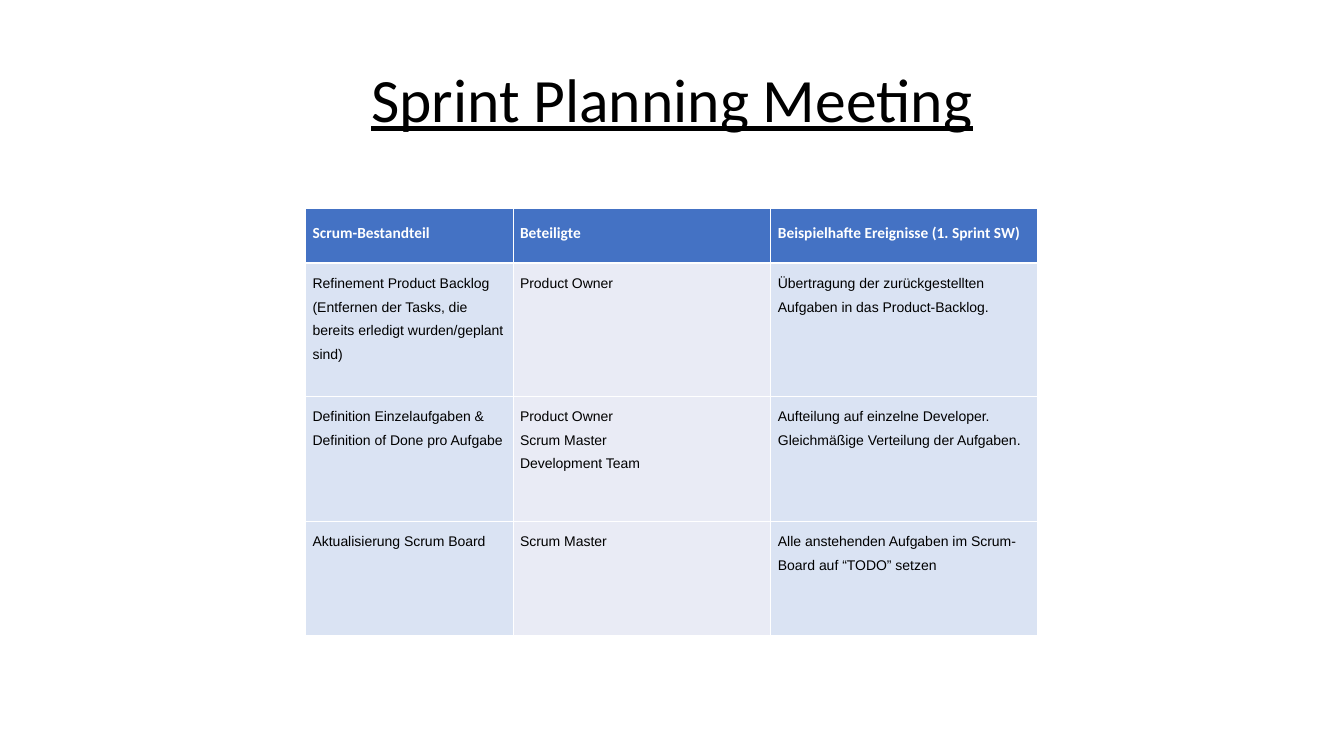
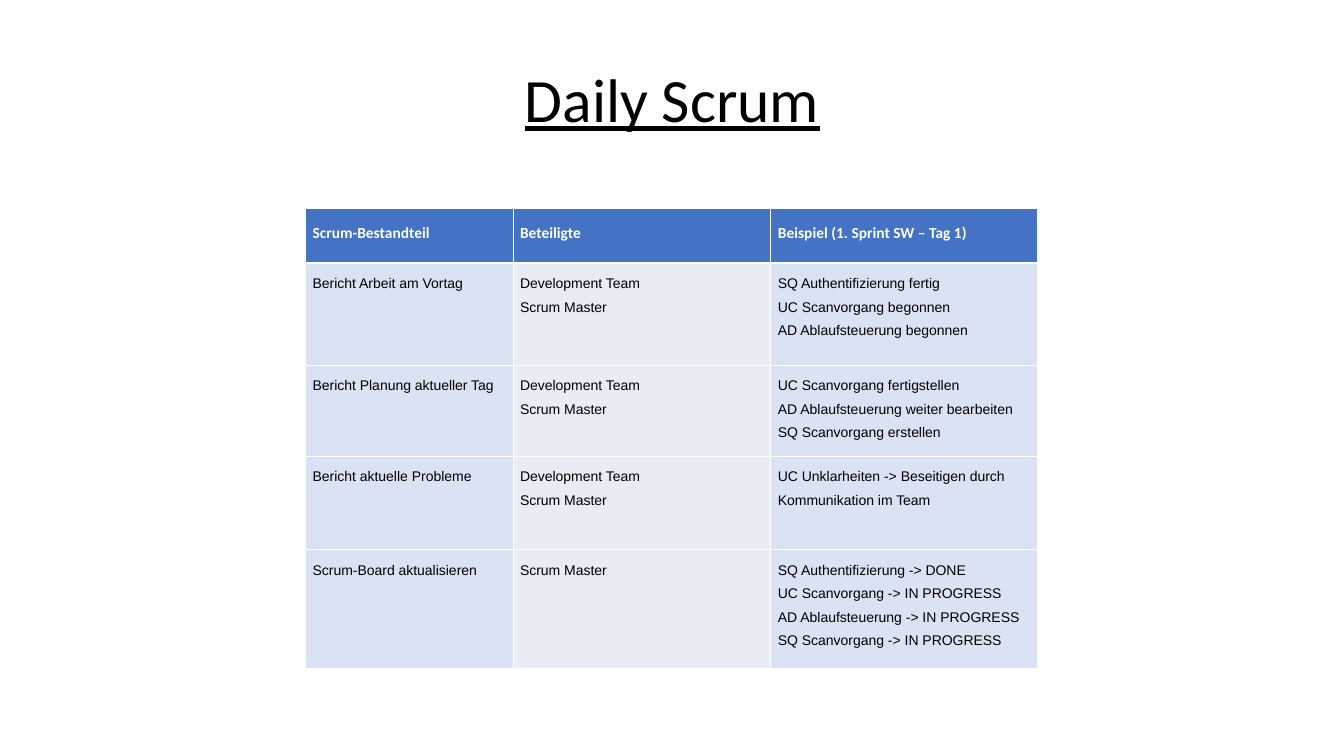
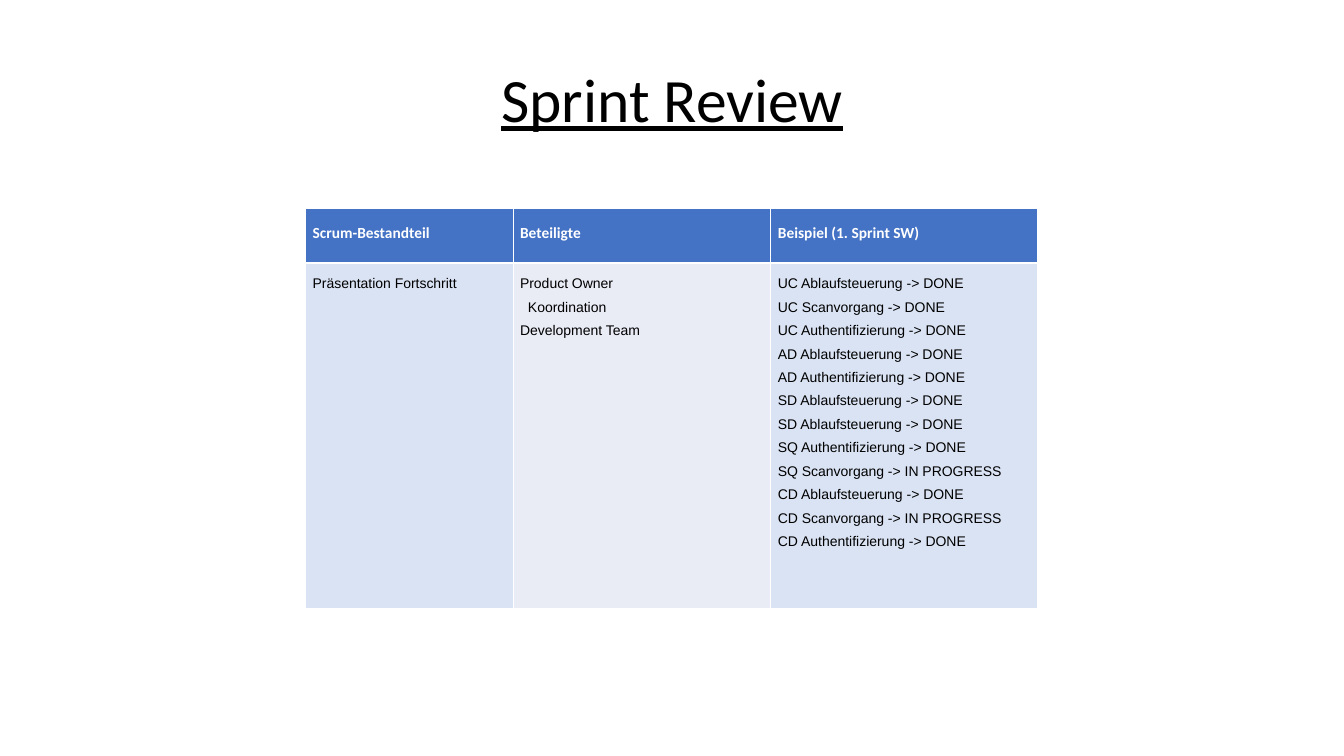
from dataclasses import dataclass
from typing import NamedTuple

from lxml import etree
from pptx import Presentation
from pptx.dml.color import RGBColor
from pptx.enum.text import MSO_ANCHOR, PP_ALIGN
from pptx.oxml.ns import qn
from pptx.util import Cm, Pt

MIDDLE = MSO_ANCHOR.MIDDLE
CENTER = PP_ALIGN.CENTER


class TextStyle(NamedTuple):
    font: str
    size: float
    color: str
    line_spacing: float
    bold: bool = False
    underline: bool = False


@dataclass(frozen=True)
class Theme:
    title: TextStyle = TextStyle("Calibri", 44, "000000", 0.9, underline=True)
    header: TextStyle = TextStyle("Calibri", 11, "FFFFFF", 1.5, bold=True)
    body: TextStyle = TextStyle("Arial", 10, "000000", 1.5)
    header_fill: str = "4472C4"
    column_fills: tuple[str, ...] = ("DAE3F3", "E9EBF5", "DAE3F3")
    border: str = "FFFFFF"
    thin_border: float = 0.45
    thick_border: float = 1.47


class Line(NamedTuple):
    text: str
    indent: float = 0


class Row(NamedTuple):
    """Each cell is a list of lines; the height is in centimetres."""
    height: float
    cells: list[list[str | Line]]


class Meeting(NamedTuple):
    title: str
    example_heading: str
    rows: list[Row]


THEME = Theme()
SLIDE_SIZE = (33.88, 19.05)
TITLE_BOX = (2.34, 0.74, 29.21, 3.68)
TABLE_LEFT, TABLE_TOP = 7.7, 5.26
COLUMN_WIDTHS = (5.23, 6.5, 6.73)
HEADER_HEIGHT = 1.37
CELL_MARGIN_X, CELL_MARGIN_Y = 0.18, 0.13

OWNER, MASTER, TEAM = "Product Owner", "Scrum Master", "Development Team"

MEETINGS = [
    Meeting("Sprint Planning Meeting", "Beispielhafte Ereignisse (1. Sprint SW)", [
        Row(3.35, [
            ["Refinement Product Backlog (Entfernen der Tasks, die bereits "
             "erledigt wurden/geplant sind)"],
            [OWNER],
            ["Übertragung der zurückgestellten Aufgaben in das Product-Backlog."],
        ]),
        Row(3.15, [
            ["Definition Einzelaufgaben & Definition of Done pro Aufgabe"],
            [OWNER, MASTER, TEAM],
            ["Aufteilung auf einzelne Developer. Gleichmäßige Verteilung der Aufgaben."],
        ]),
        Row(2.87, [
            ["Aktualisierung Scrum Board"],
            [MASTER],
            ["Alle anstehenden Aufgaben im Scrum-Board auf “TODO” setzen"],
        ]),
    ]),
    Meeting("Daily Scrum", "Beispiel (1. Sprint SW – Tag 1)", [
        Row(2.57, [
            ["Bericht Arbeit am Vortag"],
            [TEAM, MASTER],
            ["SQ Authentifizierung fertig", "UC Scanvorgang begonnen",
             "AD Ablaufsteuerung begonnen"],
        ]),
        Row(2.29, [
            ["Bericht Planung aktueller Tag"],
            [TEAM, MASTER],
            ["UC Scanvorgang fertigstellen", "AD Ablaufsteuerung weiter bearbeiten",
             "SQ Scanvorgang erstellen"],
        ]),
        Row(2.36, [
            ["Bericht aktuelle Probleme"],
            [TEAM, MASTER],
            ["UC Unklarheiten -> Beseitigen durch Kommunikation im Team"],
        ]),
        Row(3.0, [
            ["Scrum-Board aktualisieren"],
            [MASTER],
            ["SQ Authentifizierung -> DONE", "UC Scanvorgang -> IN PROGRESS",
             "AD Ablaufsteuerung -> IN PROGRESS", "SQ Scanvorgang -> IN PROGRESS"],
        ]),
    ]),
    Meeting("Sprint Review", "Beispiel (1. Sprint SW)", [
        Row(8.69, [
            ["Präsentation Fortschritt"],
            [OWNER, Line("Koordination", indent=0.2), TEAM],
            ["UC Ablaufsteuerung -> DONE", "UC Scanvorgang -> DONE",
             "UC Authentifizierung -> DONE", "AD Ablaufsteuerung -> DONE",
             "AD Authentifizierung -> DONE", "SD Ablaufsteuerung -> DONE",
             "SD Ablaufsteuerung -> DONE", "SQ Authentifizierung -> DONE",
             "SQ Scanvorgang -> IN PROGRESS", "CD Ablaufsteuerung -> DONE",
             "CD Scanvorgang -> IN PROGRESS", "CD Authentifizierung -> DONE"],
        ]),
    ]),
]


def write_lines(frame, lines: list[str | Line], style: TextStyle) -> None:
    for index, entry in enumerate(lines):
        line = Line(entry) if isinstance(entry, str) else entry
        paragraph = frame.add_paragraph() if index else frame.paragraphs[0]
        paragraph.text = line.text
        paragraph.line_spacing = style.line_spacing
        font = paragraph.font
        font.name, font.size = style.font, Pt(style.size)
        font.bold, font.underline = style.bold, style.underline
        font.color.rgb = RGBColor.from_string(style.color)
        if line.indent:
            paragraph._p.get_or_add_pPr().set("marL", str(Cm(line.indent)))


def add_title(slide, title: str) -> None:
    frame = slide.shapes.add_textbox(*map(Cm, TITLE_BOX)).text_frame
    frame.word_wrap = True
    frame.vertical_anchor = MIDDLE
    write_lines(frame, [title], THEME.title)
    frame.paragraphs[0].alignment = CENTER


def add_borders(cell, row_index: int) -> None:
    """Thin lines all round, with a thick one between header and body."""
    thick_side = {0: "lnB", 1: "lnT"}.get(row_index)
    properties = cell._tc.get_or_add_tcPr()
    for side in ("lnL", "lnR", "lnT", "lnB"):
        width = THEME.thick_border if side == thick_side else THEME.thin_border
        border = etree.SubElement(properties, qn(f"a:{side}"), w=str(Pt(width)))
        fill = etree.SubElement(border, qn("a:solidFill"))
        etree.SubElement(fill, qn("a:srgbClr"), val=THEME.border)


def add_meeting_table(slide, meeting: Meeting) -> None:
    headings = [["Scrum-Bestandteil"], ["Beteiligte"], [meeting.example_heading]]
    rows = [Row(HEADER_HEIGHT, headings), *meeting.rows]
    table = slide.shapes.add_table(
        len(rows), len(COLUMN_WIDTHS), Cm(TABLE_LEFT), Cm(TABLE_TOP),
        Cm(sum(COLUMN_WIDTHS)), Cm(sum(row.height for row in rows))).table
    table.first_row = table.horz_banding = False
    for column, width in zip(table.columns, COLUMN_WIDTHS):
        column.width = Cm(width)
    for row_index, row in enumerate(rows):
        table.rows[row_index].height = Cm(row.height)
        for column_index, lines in enumerate(row.cells):
            cell = table.cell(row_index, column_index)
            cell.margin_left = cell.margin_right = Cm(CELL_MARGIN_X)
            cell.margin_top = cell.margin_bottom = Cm(CELL_MARGIN_Y)
            add_borders(cell, row_index)
            color = THEME.column_fills[column_index] if row_index else THEME.header_fill
            cell.fill.solid()
            cell.fill.fore_color.rgb = RGBColor.from_string(color)
            write_lines(cell.text_frame, lines, THEME.body if row_index else THEME.header)


def main() -> None:
    presentation = Presentation()
    presentation.slide_width, presentation.slide_height = map(Cm, SLIDE_SIZE)
    blank_layout = presentation.slide_layouts[6]
    for meeting in MEETINGS:
        slide = presentation.slides.add_slide(blank_layout)
        add_title(slide, meeting.title)
        add_meeting_table(slide, meeting)
    presentation.save("out.pptx")


if __name__ == "__main__":
    main()
